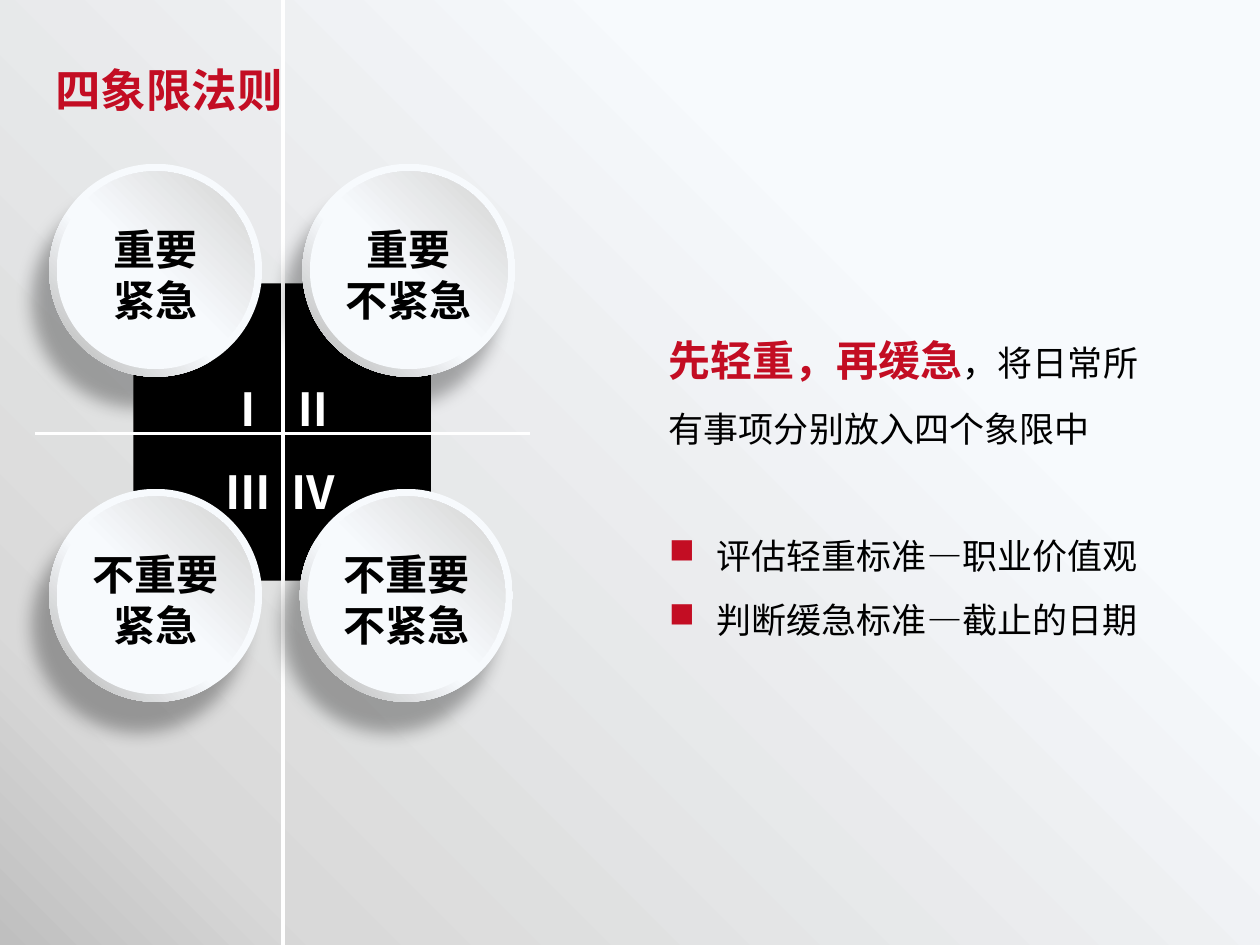
from copy import deepcopy

from lxml import etree
from pptx import Presentation, util as u
from pptx.dml.color import RGBColor
from pptx.enum import shapes, text
from pptx.oxml import ns

COLUMNS, ROWS = 100, 75
WIDTH, HEIGHT = u.Inches(10), u.Inches(7.5)
FONT = "Noto Sans CJK SC"
RED, BLACK, WHITE, PALE = "C30D23", "000000", "FFFFFF", "F7FAFD"
RING, FACE = 16.9, 15.7
LINE_RATIO = 1.22


def color(value):
    return RGBColor.from_string(value)


def box(left, top, width, height):
    return [round(WIDTH * left / COLUMNS), round(HEIGHT * top / ROWS),
            round(WIDTH * width / COLUMNS), round(HEIGHT * height / ROWS)]


def add_element(parent, tag, **attributes):
    element = etree.SubElement(parent, ns.qn(tag))
    for name, value in attributes.items():
        element.set(name, str(value))
    return element


def fill_gradient(fill, element, stops, angle):
    fill.gradient()
    stop_list = element.find(".//" + ns.qn("a:gsLst"))
    while len(stop_list) < len(stops):
        stop_list.append(deepcopy(stop_list[-1]))
    for stop, (position, value) in zip(fill.gradient_stops, stops):
        stop.position = position / 100
        stop.color.rgb = color(value)
    fill.gradient_angle = 360 - angle


def add_run(paragraph, words, size, value, bold=True):
    run = paragraph.add_run()
    run.text = words
    run.font.name = FONT
    run.font.size = u.Pt(size)
    run.font.bold = bold
    run.font.color.rgb = color(value)
    add_element(run.font._element, "a:ea", typeface=FONT)


def format_frame(frame, wrap, lowered=1.7):
    frame.word_wrap = wrap
    frame.auto_size = text.MSO_AUTO_SIZE.NONE
    frame.vertical_anchor = text.MSO_ANCHOR.TOP
    frame.margin_left = frame.margin_right = u.Inches(0.1)
    frame.margin_top = u.Pt(3.6 + lowered)
    frame.margin_bottom = u.Pt(3.6)


def next_paragraph(frame, index, size, spacing=1.0):
    paragraph = frame.add_paragraph() if index else frame.paragraphs[0]
    paragraph.line_spacing = u.Pt(round(size * LINE_RATIO * spacing, 1))
    return paragraph


def add_title(slide, words):
    title = slide.shapes.title
    title.left, title.top, title.width, title.height = box(3.4, 4.1, 20.3, 5.4)
    format_frame(title.text_frame, False)
    paragraph = next_paragraph(title.text_frame, 0, 26)
    paragraph.alignment = text.PP_ALIGN.LEFT
    add_run(paragraph, words, 26, RED)


def add_bullet(paragraph):
    properties = paragraph._p.get_or_add_pPr()
    properties.set("marL", str(u.Inches(0.38)))
    properties.set("indent", str(-u.Inches(0.38)))
    bullet_color = add_element(properties, "a:buClr")
    add_element(bullet_color, "a:srgbClr", val=RED)
    add_element(properties, "a:buChar", char="■")


def add_explanation(slide):
    frame = slide.shapes.add_textbox(*box(52.1, 23.6, 40.8, 27.8)).text_frame
    format_frame(frame, True, 10)
    principle = next_paragraph(frame, 0, 20, 1.5)
    add_run(principle, "先轻重，再缓急", 24, RED)
    add_run(principle, "，将日常所有事项分别放入四个象限中", 20, BLACK, False)
    standards = ["评估轻重标准—职业价值观", "判断缓急标准—截止的日期"]
    for index, standard in enumerate(standards, 1):
        paragraph = next_paragraph(frame, index, 20, 1.5)
        if index == 1:
            paragraph.space_before = u.Pt(36)
        add_bullet(paragraph)
        add_run(paragraph, standard, 20, BLACK, False)


def add_square(slide):
    square = slide.shapes.add_shape(shapes.MSO_SHAPE.RECTANGLE, *box(10.6, 22.5, 23.6, 23.6))
    square.shadow.inherit = False
    square.fill.solid()
    square.fill.fore_color.rgb = color(BLACK)
    square.line.fill.background()


def add_numerals(slide):
    frame = slide.shapes.add_textbox(*box(16.9, 27.2, 11.5, 14.1)).text_frame
    format_frame(frame, True)
    for index, numerals in enumerate(["Ⅰ\tⅡ", "Ⅲ\tⅣ"]):
        paragraph = next_paragraph(frame, index, 26, 1.5)
        tabs = add_element(paragraph._p.get_or_add_pPr(), "a:tabLst")
        add_element(tabs, "a:tab", pos=u.Inches(0.52), algn="l")
        add_run(paragraph, numerals, 26, WHITE)


def add_axis(slide, left, top, width, height):
    x, y, across, down = box(left, top, width, height)
    axis = slide.shapes.add_connector(shapes.MSO_CONNECTOR.STRAIGHT, x, y, x + across, y + down)
    axis.line.color.rgb = color(WHITE)
    axis.line.width = u.Pt(2)
    add_element(axis._element.spPr, "a:effectLst")


def add_disc(group, left, top, size, stops, angle):
    disc = group.shapes.add_shape(shapes.MSO_SHAPE.OVAL, *box(left, top, size, size))
    disc.shadow.inherit = False
    fill_gradient(disc.fill, disc._element, stops, angle)
    disc.line.fill.background()
    return disc


def add_shadow(shape):
    effects = shape._element.spPr.find(ns.qn("a:effectLst"))
    shadow = add_element(effects, "a:outerShdw", blurRad=u.Pt(10), dist=u.Pt(20),
                         dir=120 * 60000, algn="ctr", rotWithShape=0)
    shade = add_element(shadow, "a:srgbClr", val=BLACK)
    add_element(shade, "a:alpha", val=31000)


def add_quadrant(slide, left, top, lines):
    group = slide.shapes.add_group_shape()
    ring = add_disc(group, left, top, RING, [(57, PALE), (92, "BFBFBF"), (100, "A6A6A6")], 135)
    add_shadow(ring)
    rim = (RING - FACE) / 2
    add_disc(group, left + rim, top + rim, FACE,
             [(49, PALE), (92, "D9D9D9"), (100, "BFBFBF")], 315)
    width = 2.1 + 3.33 * max(map(len, lines))
    label = group.shapes.add_textbox(*box(left + (RING - width) / 2, top + 3.9, width, 9.1))
    format_frame(label.text_frame, False)
    for index, line in enumerate(lines):
        paragraph = next_paragraph(label.text_frame, index, 24)
        paragraph.alignment = text.PP_ALIGN.CENTER
        add_run(paragraph, line, 24, BLACK)


def main():
    presentation = Presentation()
    presentation.slide_width, presentation.slide_height = WIDTH, HEIGHT
    slide = presentation.slides.add_slide(presentation.slide_layouts[5])
    fill_gradient(slide.background.fill, slide._element,
                  [(28, PALE), (85, "D9D9D9"), (100, "BFBFBF")], 135)
    add_title(slide, "四象限法则")
    add_explanation(slide)
    add_square(slide)
    add_numerals(slide)
    add_axis(slide, 2.8, 34.4, 39.3, 0)
    add_axis(slide, 22.45, 0, 0, ROWS)
    add_quadrant(slide, 3.9, 13, ["重要", "紧急"])
    add_quadrant(slide, 24, 13, ["重要", "不紧急"])
    add_quadrant(slide, 3.9, 38.8, ["不重要", "紧急"])
    add_quadrant(slide, 23.8, 38.8, ["不重要", "不紧急"])
    presentation.save("out.pptx")


if __name__ == "__main__":
    main()
